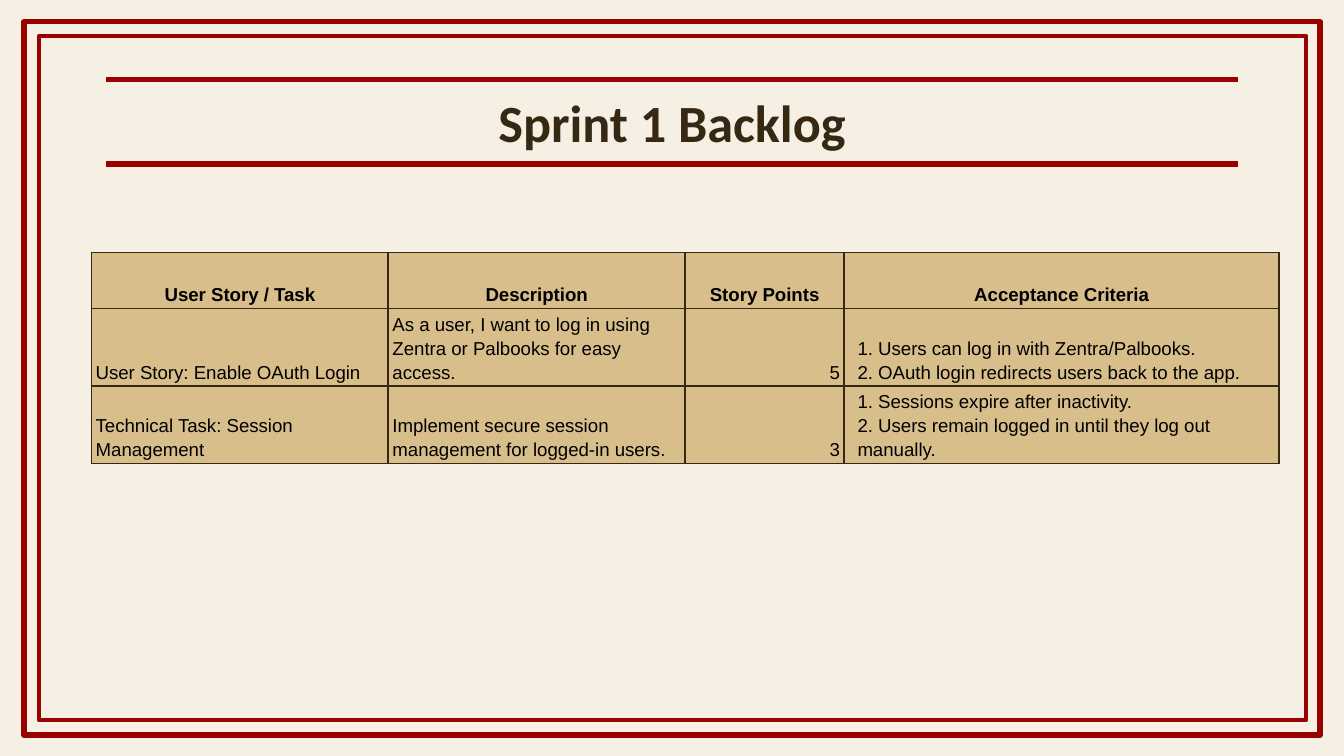
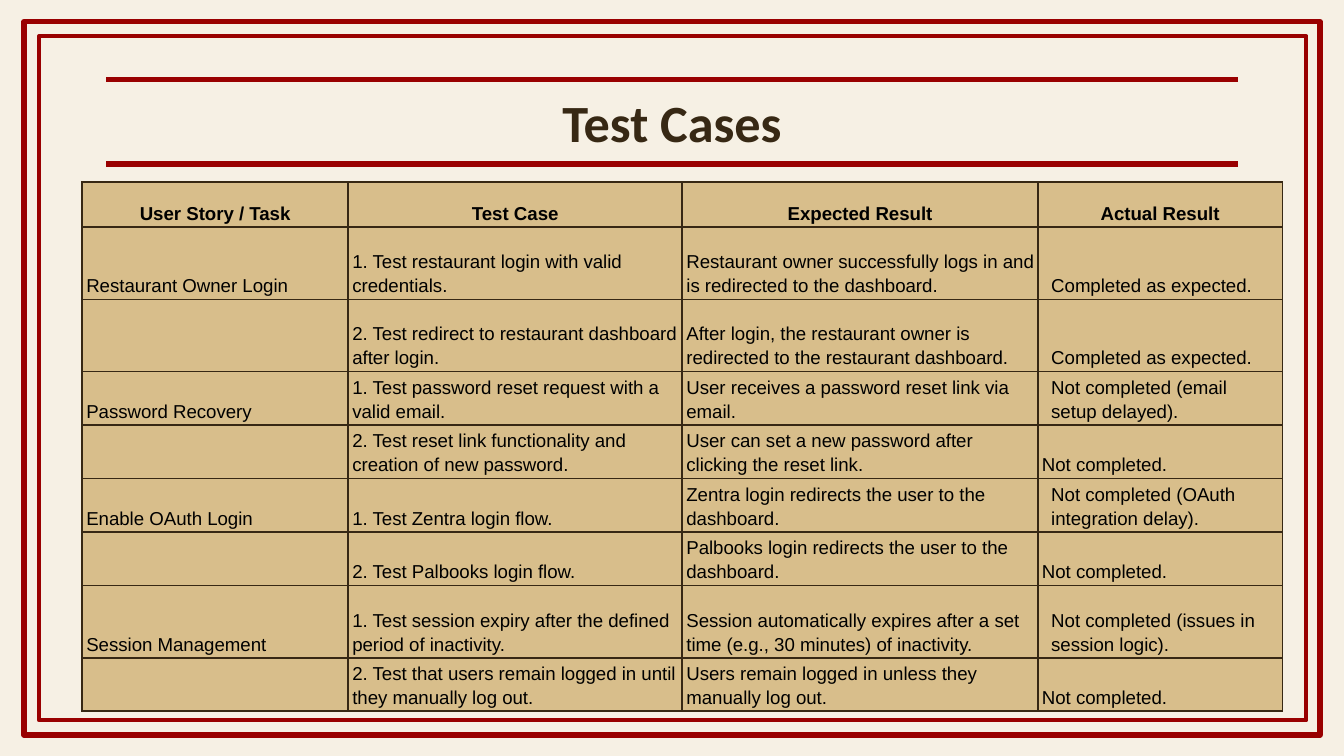
from lxml import etree
from pptx import Presentation
from pptx import util as u
from pptx.dml.color import RGBColor
from pptx.enum import shapes, text
from pptx.oxml.ns import qn

PAPER, RED, BROWN, TAN, BLACK = "F6F0E4", "990000", "372814", "D8BE8B", "000000"
LEFT, RIGHT, TOP, BASE = 56.9, 663.1, 42.5, 87.8
NARROW, WIDE = 2.25, 7.2


def hue(code):
    return RGBColor.from_string(code)


class Deck:
    def __init__(self):
        self.prs = Presentation()
        self.prs.slide_width, self.prs.slide_height = u.Pt(720), u.Pt(405)
        back = self.prs.slide_master.background.fill
        back.solid()
        back.fore_color.rgb = hue(PAPER)
        self.slide = None

    def page(self, name):
        """Start a slide with its double frame and ruled title."""
        self.slide = self.prs.slides.add_slide(self.prs.slide_layouts[5])
        self.frame(13, 11.5, 694, 382.3, 3)
        self.frame(20.9, 19.4, 679, 366.5, 2.25)
        self.title(name)
        for y in (TOP, BASE):
            self.rule(y)

    def frame(self, x, y, w, h, line):
        box = self.slide.shapes.add_shape(
            shapes.MSO_SHAPE.RECTANGLE, u.Pt(x), u.Pt(y), u.Pt(w), u.Pt(h))
        box.shadow.inherit = False
        box.fill.background()
        box.line.color.rgb = hue(RED)
        box.line.width = u.Pt(line)

    def rule(self, y):
        line = self.slide.shapes.add_connector(
            shapes.MSO_CONNECTOR.STRAIGHT, u.Pt(LEFT), u.Pt(y), u.Pt(RIGHT), u.Pt(y))
        line.line.color.rgb = hue(RED)
        line.line.width = u.Pt(3)
        etree.SubElement(line._element.spPr, qn("a:effectLst"))

    def title(self, name):
        box = self.slide.shapes.title
        box.left, box.top = u.Pt(LEFT), u.Pt(TOP)
        box.width, box.height = u.Pt(RIGHT - LEFT), u.Pt(BASE - TOP)
        body = box.text_frame
        body.word_wrap = True
        body.auto_size = text.MSO_AUTO_SIZE.NONE
        body.vertical_anchor = text.MSO_ANCHOR.MIDDLE
        body.margin_left = body.margin_right = u.Pt(7.2)
        body.margin_top = body.margin_bottom = u.Pt(7.2)
        para = body.paragraphs[0]
        para.alignment = text.PP_ALIGN.CENTER
        self.run(para, name, "Calibri", 28, BROWN, True)

    def run(self, para, words, face, size, code, bold):
        run = para.add_run()
        run.text = words
        run.font.name, run.font.size, run.font.bold = face, u.Pt(size), bold
        run.font.color.rgb = hue(code)

    def table(self, x, y, cols, highs, rows, wide):
        """Draw rows as a grid; wide lists the rows whose last cell has a wider inset."""
        grid = self.slide.shapes.add_table(
            len(rows), len(cols), u.Pt(x), u.Pt(y),
            u.Pt(sum(cols)), u.Pt(sum(highs))).table
        grid.first_row = grid.horz_banding = False
        for col, width in zip(grid.columns, cols):
            col.width = u.Pt(width)
        for r, (row, high) in enumerate(zip(rows, highs)):
            grid.rows[r].height = u.Pt(high)
            for c, words in enumerate(row):
                last = c == len(cols) - 1
                side = WIDE if last and r in wide else NARROW
                self.cell(grid.cell(r, c), words, r == 0, side)

    def cell(self, cell, words, head, side):
        cell.vertical_anchor = text.MSO_ANCHOR.BOTTOM
        cell.margin_left = cell.margin_right = u.Pt(side)
        cell.margin_top = cell.margin_bottom = u.Pt(1.5)
        self.edge(cell)
        cell.fill.solid()
        cell.fill.fore_color.rgb = hue(TAN)
        for i, line in enumerate(words.split("\n")):
            body = cell.text_frame
            para = body.add_paragraph() if i else body.paragraphs[0]
            para.line_spacing = 1.15
            if head:
                para.alignment = text.PP_ALIGN.CENTER
            elif line.isdigit():
                para.alignment = text.PP_ALIGN.RIGHT
            if line:
                self.run(para, line, "Arial", 10, BLACK, head)
            else:
                etree.SubElement(para._p, qn("a:endParaRPr"), sz="1000")

    def edge(self, cell):
        """Give the cell a thin border on all four sides."""
        props = cell._tc.get_or_add_tcPr()
        for side in "LRTB":
            line = etree.SubElement(props, qn("a:ln" + side), w=str(u.Pt(1)))
            fill = etree.SubElement(line, qn("a:solidFill"))
            etree.SubElement(fill, qn("a:srgbClr"), val=BROWN)


BACKLOG = [
    ("User Story / Task", "Description", "Story Points", "Acceptance Criteria"),
    ("User Story: Enable OAuth Login",
     "As a user, I want to log in using Zentra or Palbooks for easy access.", "5",
     "1. Users can log in with Zentra/Palbooks.\n"
     "2. OAuth login redirects users back to the app."),
    ("Technical Task: Session Management",
     "Implement secure session management for logged-in users.", "3",
     "1. Sessions expire after inactivity.\n"
     "2. Users remain logged in until they log out manually."),
]

TESTS = [
    ("User Story / Task", "Test Case", "Expected Result", "Actual Result"),
    ("Restaurant Owner Login", "1. Test restaurant login with valid credentials.",
     "Restaurant owner successfully logs in and is redirected to the dashboard.",
     "Completed as expected."),
    ("", "2. Test redirect to restaurant dashboard after login.",
     "After login, the restaurant owner is redirected to the restaurant dashboard.",
     "Completed as expected."),
    ("Password Recovery", "1. Test password reset request with a valid email.",
     "User receives a password reset link via email.",
     "Not completed (email setup delayed)."),
    ("", "2. Test reset link functionality and creation of new password.",
     "User can set a new password after clicking the reset link.",
     "Not completed."),
    ("Enable OAuth Login", "1. Test Zentra login flow.",
     "Zentra login redirects the user to the dashboard.",
     "Not completed (OAuth integration delay)."),
    ("", "2. Test Palbooks login flow.",
     "Palbooks login redirects the user to the dashboard.",
     "Not completed."),
    ("Session Management",
     "1. Test session expiry after the defined period of inactivity.",
     "Session automatically expires after a set time (e.g., 30 minutes) of inactivity.",
     "Not completed (issues in session logic)."),
    ("", "2. Test that users remain logged in until they manually log out.",
     "Users remain logged in unless they manually log out.",
     "Not completed."),
]


def main():
    deck = Deck()
    deck.page("Sprint 1 Backlog")
    deck.table(49, 135.2, [159, 159, 85.2, 233], [30] * 3, BACKLOG, {0, 1, 2})
    deck.page("Test Cases")
    low, tall = 26, 38.7
    highs = [24.2, tall, tall, low, low, low, low, tall, low]
    deck.table(44, 97.5, [142.5, 179, 190.5, 131], highs, TESTS, {1, 2, 3, 5, 7})
    deck.prs.save("out.pptx")


if __name__ == "__main__":
    main()
